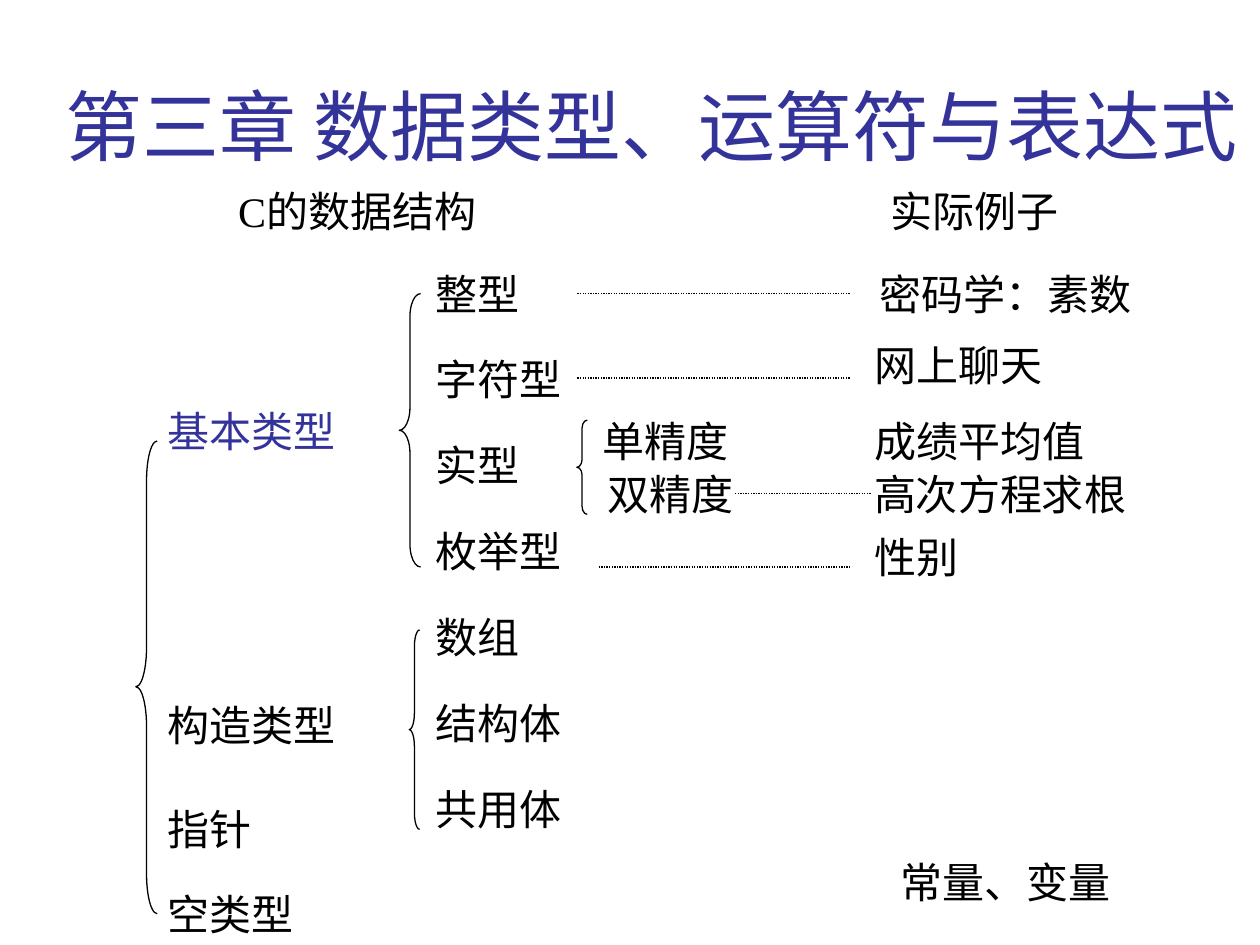
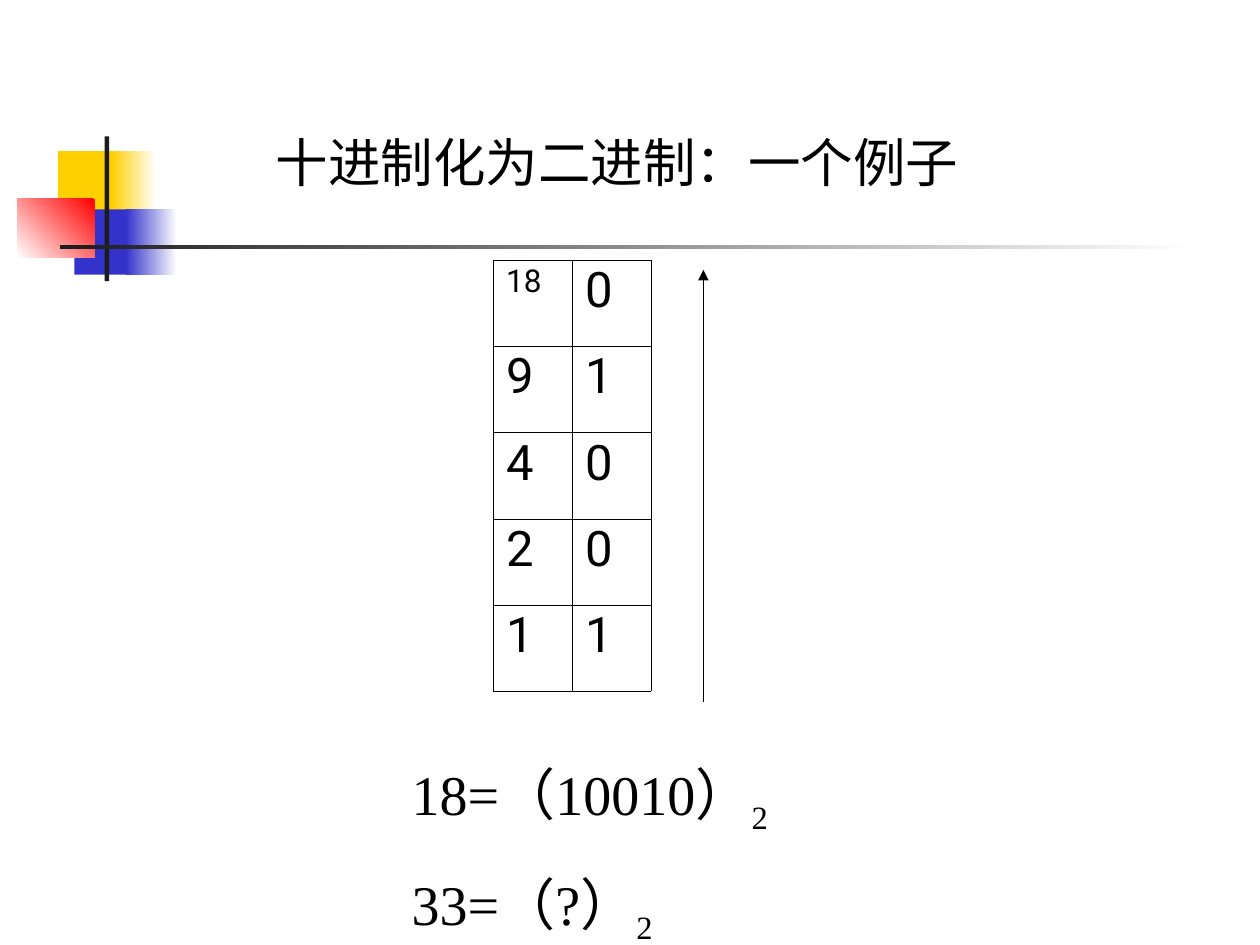
from lxml import etree
from pptx import Presentation
from pptx import util as u
from pptx.dml import color
from pptx.enum import dml, lang, shapes, text as t
from pptx.oxml import ns

BLACK, NAVY, WHITE = "000000", "333399", "FFFFFF"
YELLOW, BLUE, RED, CHARCOAL = "FFCF01", "3333CC", "FF0000", "1C1C1C"
SERIF, SANS = "Times New Roman", "Roboto"
THIN = u.Pt(0.75)
rgb = color.RGBColor.from_string


def write(frame, text, size=24, font=SERIF, colour=BLACK, subscript="", spacing=None):
    """Fill a text frame with one formatted line, optionally ending in a subscript."""
    paragraph = frame.paragraphs[0]
    paragraph.alignment = t.PP_ALIGN.LEFT
    paragraph.line_spacing = spacing
    for part in filter(None, (text, subscript)):
        run = paragraph.add_run()
        run.text = part
        run.font.size = u.Pt(size)
        run.font.name = font
        run.font.color.rgb = rgb(colour)
        run.font.language_id = lang.MSO_LANGUAGE_ID.SIMPLIFIED_CHINESE
    if subscript:
        run.font._element.set("baseline", "-25000")


def add_text(slide, text, left, top, width=None, height=1.27, anchor=t.MSO_ANCHOR.TOP, **style):
    """Place a text box in cm; without a width it hugs its full-width characters."""
    hugging = len(text) * style.get("size", 24) * 2.54 / 72 + 0.51
    box = slide.shapes.add_textbox(u.Cm(left), u.Cm(top), u.Cm(width or hugging), u.Cm(height))
    box.text_frame.word_wrap = width is not None
    box.text_frame.vertical_anchor = anchor
    write(box.text_frame, text, **style)


presentation = Presentation()
presentation.slide_width, presentation.slide_height = u.Cm(25.4), u.Cm(19.05)
blank = presentation.slide_layouts[6]

# Slide 1: tree of data types with examples
types_slide = presentation.slides.add_slide(blank)
add_text(types_slide, "第三章 数据类型、运算符与表达式", 1.07, 1.47, 24.33, 2.11,
         anchor=t.MSO_ANCHOR.BOTTOM, size=44, font=SANS, colour=NAVY)
add_text(types_slide, "基本类型", 3.12, 8.05, colour=NAVY)

for label, left, top in [
    ("C的数据结构", 4.55, 3.61),
    ("实际例子", 17.7, 3.61),
    ("构造类型", 3.12, 13.97),
    ("指针", 3.12, 16.08),
    ("空类型", 3.12, 17.78),
    ("单精度", 11.89, 8.25),
    ("双精度", 11.99, 9.32),
    ("密码学：素数", 17.48, 5.28),
    ("网上聊天", 17.37, 6.71),
    ("成绩平均值", 17.37, 8.25),
    ("高次方程求根", 17.37, 9.32),
    ("性别", 17.37, 10.59),
    ("常量、变量", 17.91, 17.15),
]:
    add_text(types_slide, label, left, top)

for row, label in enumerate(["整型", "字符型", "实型", "枚举型", "数组", "结构体", "共用体"]):
    add_text(types_slide, label, 8.53, 5.28 + 1.73 * row)

for left, top, width, height, point in [
    (2.74, 8.89, 0.43, 9.53, 0.52),
    (8.05, 5.92, 0.43, 5.51, 0.5),
    (8.25, 12.7, 0.21, 4.02, 0.5),
    (11.63, 8.47, 0.21, 1.9, 0.5),
]:
    brace = types_slide.shapes.add_shape(
        shapes.MSO_SHAPE.LEFT_BRACE, u.Cm(left), u.Cm(top), u.Cm(width), u.Cm(height))
    brace.adjustments[0] = height / width / 12
    brace.adjustments[1] = point
    brace.shadow.inherit = False
    brace.fill.background()
    brace.line.color.rgb = rgb(BLACK)
    brace.line.width = THIN

# Slide 2: decimal to binary
binary_slide = presentation.slides.add_slide(blank)
for left, top, width, height, colours, angle in [
    (1.17, 3.05, 1.22, 1.32, [YELLOW], 0),
    (2.24, 3.05, 0.91, 1.32, [WHITE, YELLOW], 180),
    (1.5, 4.22, 1.17, 1.32, [BLUE], 0),
    (2.54, 4.22, 1.02, 1.32, [WHITE, BLUE], 180),
    (0.35, 4.01, 1.56, 1.18, [RED, WHITE], 225),
    (2.11, 2.75, 0.09, 2.92, [CHARCOAL], 0),
    (1.22, 4.94, 22.86, 0.09, [WHITE, CHARCOAL], 180),
]:
    block = binary_slide.shapes.add_shape(
        shapes.MSO_SHAPE.RECTANGLE, u.Cm(left), u.Cm(top), u.Cm(width), u.Cm(height))
    block.shadow.inherit = False
    block.line.fill.background()
    if len(colours) == 1:
        block.fill.solid()
        block.fill.fore_color.rgb = rgb(colours[0])
    else:
        block.fill.gradient()
        block.fill.gradient_angle = angle
        for stop, colour in zip(block.fill.gradient_stops, colours):
            stop.color.rgb = rgb(colour)

add_text(binary_slide, "十进制化为二进制：一个例子", 5.31, 2.49, height=1.52, size=30)
add_text(binary_slide, "18=（10010）", 8.05, 15.19, 10.26, 1.8, size=32, subscript="2")
add_text(binary_slide, "33=（?）", 8.05, 17.4, 8.89, 1.8, size=32, subscript="2")

divisions = [("18", "0"), ("9", "1"), ("4", "0"), ("2", "0"), ("1", "1")]
table = binary_slide.shapes.add_table(
    len(divisions), 2, u.Cm(9.95), u.Cm(5.24), u.Cm(3.18), u.Cm(8.7)).table
table.first_row = table.horz_banding = False
for row, values in enumerate(divisions):
    for column, value in enumerate(values):
        cell = table.cell(row, column)
        write(cell.text_frame, value, size=18 if value == "18" else 28, font=SANS, spacing=0.9)
        properties = cell._tc.get_or_add_tcPr()
        for side in "LRTB":
            border = etree.SubElement(properties, ns.qn(f"a:ln{side}"), w=str(u.Pt(0.06)))
            solid = etree.SubElement(border, ns.qn("a:solidFill"))
            etree.SubElement(solid, ns.qn("a:srgbClr"), val=BLACK)
        cell.fill.background()

# Links from types to examples, and the reading direction of the remainders
for slide, x1, y1, x2, y2, is_arrow in [
    (types_slide, 11.64, 5.92, 17.15, 5.92, False),
    (types_slide, 11.64, 7.62, 17.15, 7.62, False),
    (types_slide, 14.82, 9.95, 17.57, 9.95, False),
    (types_slide, 12.07, 11.43, 17.15, 11.43, False),
    (binary_slide, 14.18, 14.15, 14.18, 5.44, True),
]:
    line = slide.shapes.add_connector(
        shapes.MSO_CONNECTOR.STRAIGHT, u.Cm(x1), u.Cm(y1), u.Cm(x2), u.Cm(y2))
    line.line.color.rgb = rgb(BLACK)
    line.line.width = THIN
    properties = line._element.spPr
    if is_arrow:
        etree.SubElement(properties.find(ns.qn("a:ln")), ns.qn("a:tailEnd"), type="triangle")
    else:
        line.line.dash_style = dml.MSO_LINE.ROUND_DOT
    etree.SubElement(properties, ns.qn("a:effectLst"))

presentation.save("out.pptx")
